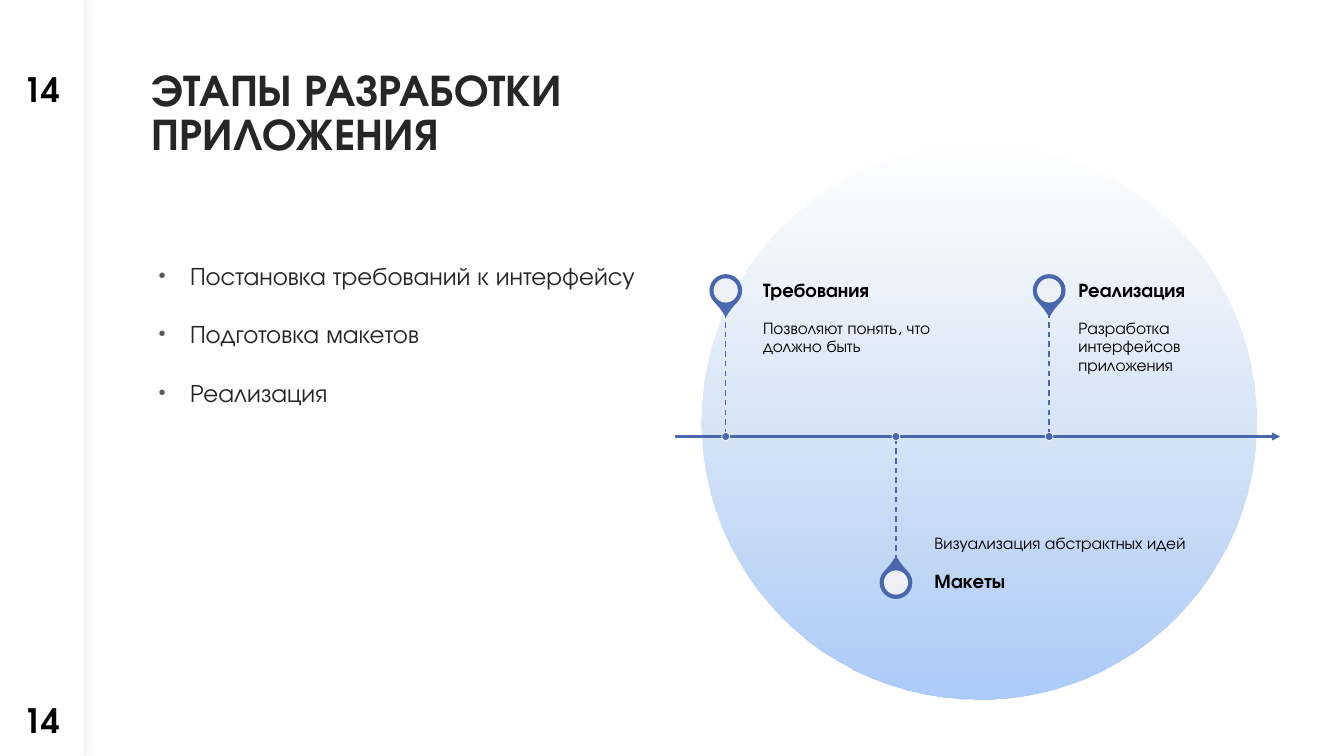
from lxml import etree
from pptx import Presentation
from pptx.dml.color import RGBColor
from pptx.enum.dml import MSO_LINE
from pptx.enum.shapes import MSO_CONNECTOR, MSO_SHAPE
from pptx.enum.text import MSO_ANCHOR, PP_ALIGN
from pptx.oxml.ns import qn
from pptx.util import Cm, Pt

TOP, MIDDLE, BOTTOM = MSO_ANCHOR.TOP, MSO_ANCHOR.MIDDLE, MSO_ANCHOR.BOTTOM
LEFT, CENTER = PP_ALIGN.LEFT, PP_ALIGN.CENTER
OVAL, RECTANGLE, TEARDROP = MSO_SHAPE.OVAL, MSO_SHAPE.RECTANGLE, MSO_SHAPE.TEAR
STRAIGHT, DASH = MSO_CONNECTOR.STRAIGHT, MSO_LINE.DASH

BLACK = RGBColor(0x00, 0x00, 0x00)
DARK = RGBColor(0x26, 0x26, 0x26)
WHITE = RGBColor(0xFF, 0xFF, 0xFF)
BLUE = RGBColor(0x4A, 0x66, 0xAC)
PALE_BLUE = RGBColor(0xB4, 0xCC, 0xE7)
SKY_BLUE = RGBColor(0xAC, 0xCB, 0xF9)
FONT = "TeX Gyre Adventor"

prs = Presentation()
prs.slide_width, prs.slide_height = Cm(33.87), Cm(19.05)
slide = prs.slides.add_slide(prs.slide_layouts[6])
shapes = slide.shapes


def add_text(lines, box, size, color=BLACK, bold=False, align=LEFT, anchor=TOP,
             spacing=1.0, margins=(0.25, 0.13, 0.25, 0.13)):
    frame = shapes.add_textbox(*[Cm(v) for v in box]).text_frame
    frame.word_wrap = True
    frame.vertical_anchor = anchor
    (frame.margin_left, frame.margin_top,
     frame.margin_right, frame.margin_bottom) = [Cm(v) for v in margins]
    frame.text = "\n".join(lines)
    for paragraph in frame.paragraphs:
        paragraph.alignment = align
        paragraph.line_spacing = spacing
        for run in paragraph.runs:
            run.font.name, run.font.size = FONT, Pt(size)
            run.font.bold, run.font.color.rgb = bold, color
    return frame


def add_round(kind, center_x, center_y, size, fill):
    shape = shapes.add_shape(kind, Cm(center_x - size / 2), Cm(center_y - size / 2),
                             Cm(size), Cm(size))
    shape.shadow.inherit = False
    shape.fill.solid()
    shape.fill.fore_color.rgb = fill
    shape.line.fill.background()
    return shape


# Background circle fading upwards
circle = add_round(OVAL, 24.67, 10.64, 13.97, WHITE)
circle.fill.gradient()
circle.fill.gradient_angle = 270
for stop, color, position in zip(circle.fill.gradient_stops, (PALE_BLUE, SKY_BLUE), (0, 1)):
    stop.color.rgb, stop.position = color, position
first_color = circle._element.spPr.find(".//" + qn("a:srgbClr"))
etree.SubElement(first_color, qn("a:alpha"), val="0")

# Side strip with a soft shadow
strip = shapes.add_shape(RECTANGLE, 0, 0, Cm(2.11), Cm(19.05))
strip.fill.solid()
strip.fill.fore_color.rgb = WHITE
strip.line.fill.background()
strip.shadow.inherit = False
shadow = etree.SubElement(strip._element.spPr.find(qn("a:effectLst")), qn("a:outerShdw"),
                          blurRad=str(Pt(10)), dist="0", dir="0", rotWithShape="0")
shadow_color = etree.SubElement(shadow, qn("a:srgbClr"), val="000000")
etree.SubElement(shadow_color, qn("a:alpha"), val="10000")

# Title and slide numbers
add_text(["ЭТАПЫ РАЗРАБОТКИ ПРИЛОЖЕНИЯ"], (3.58, 1.7, 13.67, 4.01), 32, DARK, True, spacing=0.8)
for number_top in (1.7, 17.6):
    add_text(["14"], (0, number_top, 2.11, 1.07), 24, bold=True, align=CENTER, anchor=MIDDLE)

# Bulleted stages
stages = add_text(["Постановка требований к интерфейсу", "Подготовка макетов", "Реализация"],
                  (3.63, 6.35, 12.7, 11), 18, DARK, spacing=1.1)
for index, paragraph in enumerate(stages.paragraphs):
    if index:
        paragraph.space_before = Pt(18)
    properties = paragraph._p.get_or_add_pPr()
    properties.set("marL", str(Cm(0.91)))
    properties.set("indent", str(Cm(-0.79)))
    bullet_color = etree.SubElement(properties, qn("a:buClr"))
    etree.SubElement(bullet_color, qn("a:srgbClr"), val="595959")
    etree.SubElement(properties, qn("a:buSzPct"), val="80000")
    etree.SubElement(properties, qn("a:buFont"), typeface="Arial")
    etree.SubElement(properties, qn("a:buChar"), char="•")

# Timeline: (x, text left, text width, side, heading, description); side -1 is above the axis
AXIS_Y, STEM, PIN_OFFSET, HEADING_HEIGHT = 11.0, 3.13, 3.68, 1.09
milestones = [
    (18.29, 19.23, 5.18, -1, "Требования", "Позволяют понять, что должно быть"),
    (22.58, 23.55, 6.35, 1, "Макеты", "Визуализация абстрактных идей"),
    (26.44, 27.18, 4.98, -1, "Реализация", "Разработка интерфейсов приложения"),
]
lines = [(17.02, 32.26, AXIS_Y, 1.5)]
lines += [(x, x, AXIS_Y + side * STEM, 1) for x, _, _, side, _, _ in milestones]
for start_x, end_x, start_y, width in lines:
    line = shapes.add_connector(STRAIGHT, Cm(start_x), Cm(start_y), Cm(end_x), Cm(AXIS_Y))
    line.line.color.rgb, line.line.width = BLUE, Pt(width)
    etree.SubElement(line._element.spPr, qn("a:effectLst"))
    if start_x == end_x:
        line.line.dash_style = DASH
    else:
        etree.SubElement(line.line._get_or_add_ln(), qn("a:tailEnd"), type="triangle")

for x, text_left, text_width, side, heading, description in milestones:
    above = side < 0
    pin_y = AXIS_Y + side * PIN_OFFSET
    pin = add_round(TEARDROP, x, pin_y, 0.79, BLUE)
    pin.adjustments[0] = 1.15
    pin.rotation = 135 if above else 315
    pin.line.color.rgb, pin.line.width = BLUE, Pt(1)
    hole = add_round(OVAL, x, pin_y, 0.61, WHITE)
    hole_color = hole._element.spPr.find(".//" + qn("a:srgbClr"))
    etree.SubElement(hole_color, qn("a:alpha"), val="90000")
    dot = add_round(OVAL, x, AXIS_Y, 0.2, BLUE)
    dot.line.color.rgb, dot.line.width = WHITE, Pt(0.5)

    description_top = AXIS_Y - STEM if above else AXIS_Y
    heading_top = description_top - HEADING_HEIGHT if above else AXIS_Y + STEM
    add_text([description], (text_left, description_top, text_width, STEM), 12, spacing=0.9,
             anchor=TOP if above else BOTTOM,
             margins=(0, 0.2, 0.2, 0.3) if above else (0, 0.3, 0, 0.2))
    add_text([heading], (text_left, heading_top, text_width, HEADING_HEIGHT), 14, bold=True,
             anchor=MIDDLE, spacing=0.9, margins=(0, 0, 0.25, 0))

prs.save("out.pptx")
